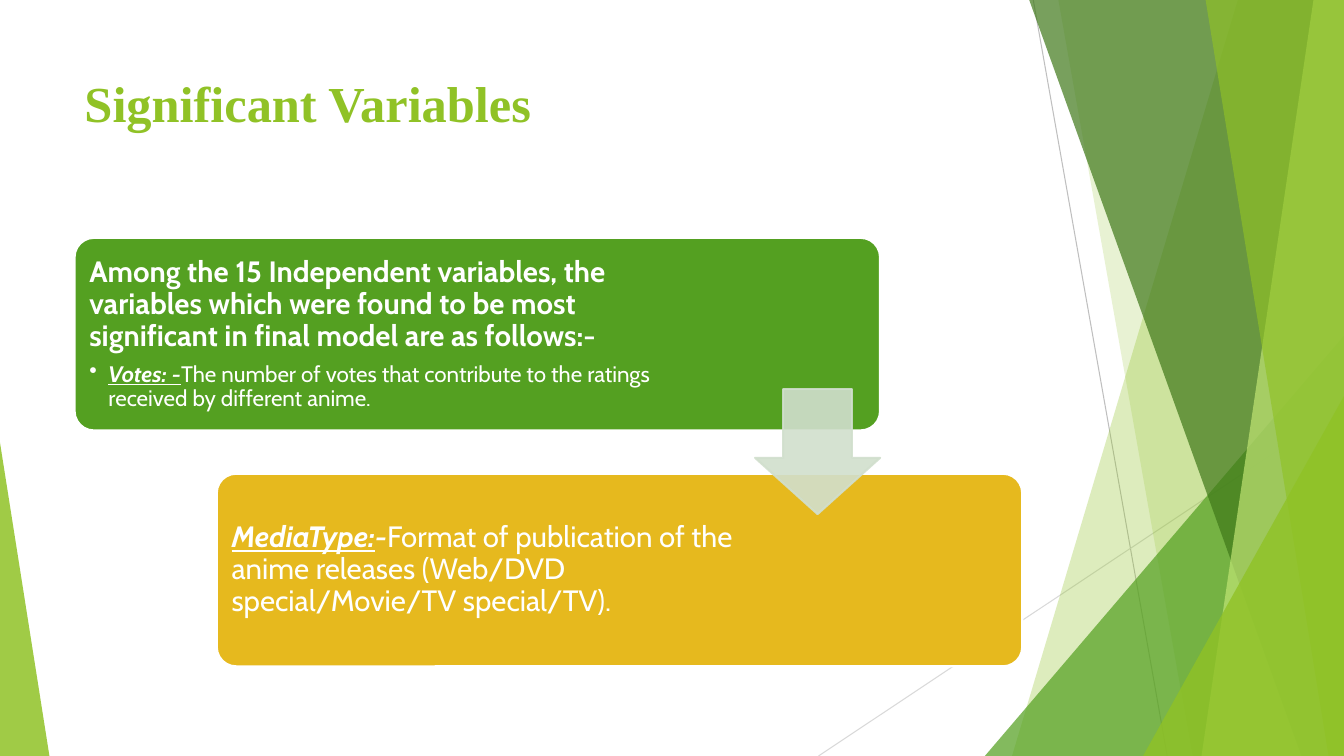
from lxml import etree
from pptx import Presentation, util as u
from pptx.dml.color import RGBColor
from pptx.enum import shapes, text
from pptx.oxml import ns

WHITE = RGBColor(0xFF, 0xFF, 0xFF)
LIGHT_GREY = RGBColor(0xD9, 0xD9, 0xD9)
GREY = RGBColor(0xBF, 0xBF, 0xBF)
LIME = RGBColor(0x90, 0xC2, 0x26)
GREEN = RGBColor(0x54, 0xA0, 0x21)
DARK_GREEN = RGBColor(0x3F, 0x78, 0x19)
PALE_LIME = RGBColor(0xC0, 0xE4, 0x74)
GOLD = RGBColor(0xE6, 0xB9, 0x1E)
PALE_GREEN = RGBColor(0xD1, 0xDF, 0xCD)

deck = Presentation()
deck.slide_width, deck.slide_height = u.Inches(13.33), u.Inches(7.5)
page = deck.slides.add_slide(deck.slide_layouts[6])


def grid(*lengths):
    """Turn alternating columns and rows of a 100 by 100 grid into lengths."""
    sides = deck.slide_width, deck.slide_height
    return [u.Emu(round(n * sides[i % 2] / 100)) for i, n in enumerate(lengths)]


def paint(shape, colour, opacity=100, outline=None):
    """Fill a shape and give it an outline of the same opacity, or none."""
    shape.shadow.inherit = False
    shape.fill.solid()
    shape.fill.fore_color.rgb = colour
    if outline is None:
        shape.line.fill.background()
    else:
        shape.line.color.rgb = outline
        shape.line.width = u.Pt(1.5)
    if opacity < 100:
        for colour_element in shape._element.spPr.iter(ns.qn("a:srgbClr")):
            etree.SubElement(colour_element, ns.qn("a:alpha"), val=str(opacity * 1000))


# Thin lines behind the facets
for ends, colour in (((76.88, 0, 86.85, 100), GREY),
                     ((100, 53.73, 60.9, 100), LIGHT_GREY)):
    thin_line = page.shapes.add_connector(shapes.MSO_CONNECTOR.STRAIGHT, *grid(*ends))
    thin_line.line.color.rgb = colour
    thin_line.line.width = u.Pt(0.75)
    etree.SubElement(thin_line._element.spPr, ns.qn("a:effectLst"))

# Facets: a band has its left edge at the top and bottom of the slide,
# a triangle has its left, top, width and apex
facets = [
    ("band", (92.1, 75.3), LIME, 30),
    ("band", (78.75, 88.73), LIME, 20),
    ("triangle", (73.28, 44.4, 26.72, 1), GREEN, 72),
    ("band", (76.58, 96.83), DARK_GREEN, 70),
    ("band", (97.73, 89.4), PALE_LIME, 70),
    ("band", (89.7, 98.85), LIME, 65),
    ("triangle", (85.05, 52.4, 14.95, 1), LIME, 80),
    ("triangle", (0, 58.53, 3.68, 0), LIME, 85),
]
for kind, place, colour, opacity in facets:
    if kind == "band":
        upper, lower = place
        outline = page.shapes.build_freeform(*grid(upper, 0))
        outline.add_line_segments([grid(100, 0), grid(100, 100), grid(lower, 100)])
        facet = outline.convert_to_shape()
    else:
        left, top, width, apex = place
        facet = page.shapes.add_shape(shapes.MSO_SHAPE.ISOSCELES_TRIANGLE,
                                      *grid(left, top, width, 100 - top))
        facet.adjustments[0] = apex
    paint(facet, colour, opacity)

# Title
title = page.shapes.add_textbox(*grid(5.55, 8.93, 70.5, 19.2))
title.text_frame.word_wrap = True
span = title.text_frame.paragraphs[0].add_run()
span.text = "Significant Variables"
span.font.name, span.font.size, span.font.bold = "Times New Roman", u.Pt(36), True
span.font.color.rgb = LIME

# Cards: fill, text width, paragraphs of (size, space after, bulleted, runs);
# each run has its text and its style letters
cards = [
    (GREEN, 45.15, [
        (21, 7.35, False, [("Among the 15 Independent variables, the variables which were "
                            "found to be most significant in final model are as follows:-", "b")]),
        (16, 2.4, True, [("Votes: -", "biu"),
                         ("The number of votes that contribute to the ratings received "
                          "by different anime.", "")]),
    ]),
    (GOLD, 39.23, [
        (21, 7.35, False, [("MediaType:", "biu"), ("-", "bi"),
                           ("Format of publication of the anime releases "
                            "(Web/DVD special/Movie/TV special/TV).", "")]),
    ]),
]
for step, (colour, text_width, paragraphs) in enumerate(cards):
    left, top = 5.55 + 10.58 * step, 31.47 + 31.2 * step
    card = page.shapes.add_shape(shapes.MSO_SHAPE.ROUNDED_RECTANGLE,
                                 *grid(left, top, 59.93, 25.47))
    card.adjustments[0] = 0.1
    paint(card, colour, outline=WHITE)

    box = page.shapes.add_textbox(*grid(left + 0.42, top + 0.75, text_width, 24))
    frame = box.text_frame
    frame.word_wrap = True
    frame.vertical_anchor = text.MSO_ANCHOR.MIDDLE
    frame.margin_left = frame.margin_right = u.Inches(0.09)
    frame.margin_top = frame.margin_bottom = u.Inches(0.09)
    for i, (size, after, bulleted, runs) in enumerate(paragraphs):
        para = frame.add_paragraph() if i else frame.paragraphs[0]
        para.line_spacing, para.space_after = 0.9, u.Pt(after)
        if bulleted:
            para.level = 1
            properties = para._p.get_or_add_pPr()
            properties.set("marL", str(u.Inches(0.19)))
            properties.set("indent", str(-u.Inches(0.19)))
            etree.SubElement(properties, ns.qn("a:buChar"), char="•")
        for words, style in runs:
            span = para.add_run()
            span.text = words
            span.font.name, span.font.size = "Cabin", u.Pt(size)
            span.font.color.rgb = WHITE
            span.font.bold, span.font.italic = "b" in style, "i" in style
            span.font.underline = "u" in style

# Arrow from the first card to the second
arrow = page.shapes.add_shape(shapes.MSO_SHAPE.DOWN_ARROW, *grid(56.18, 51.47, 9.3, 16.53))
arrow.adjustments[0], arrow.adjustments[1] = 0.55, 0.45
paint(arrow, PALE_GREEN, 90, PALE_GREEN)

deck.save("out.pptx")
